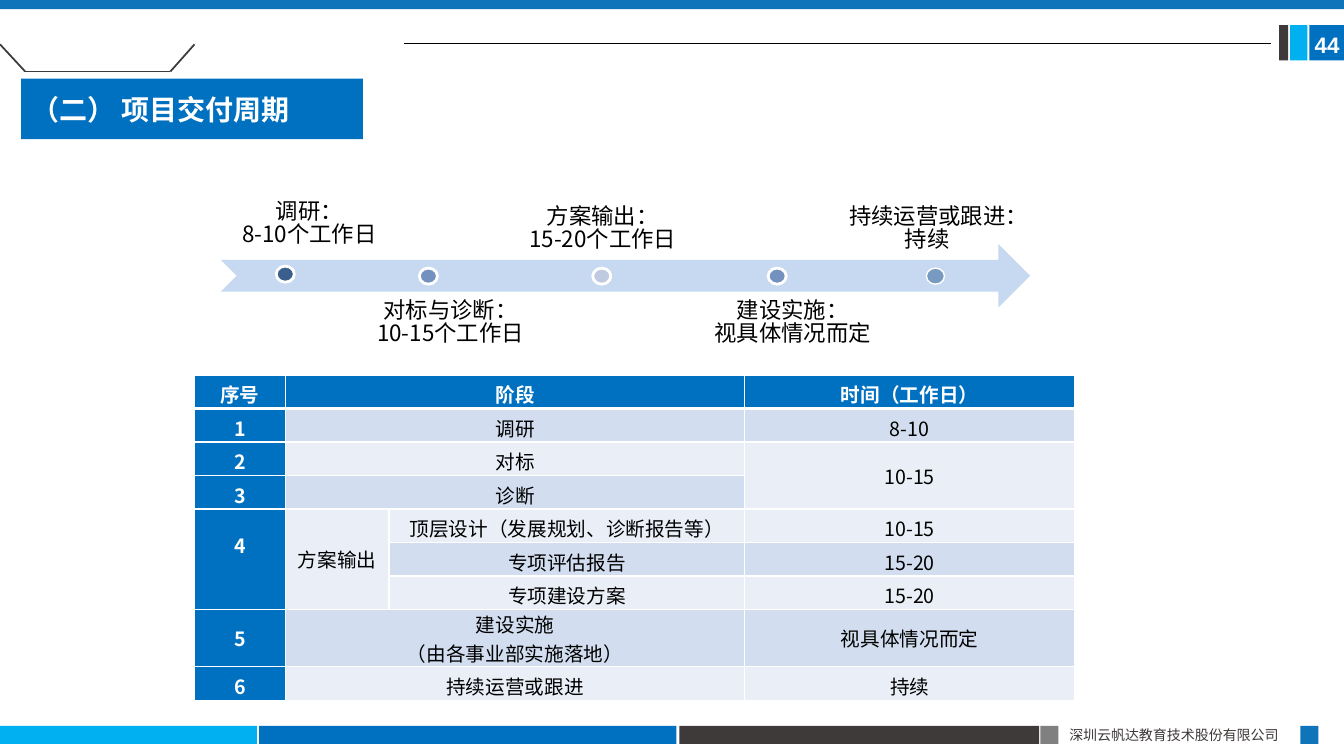
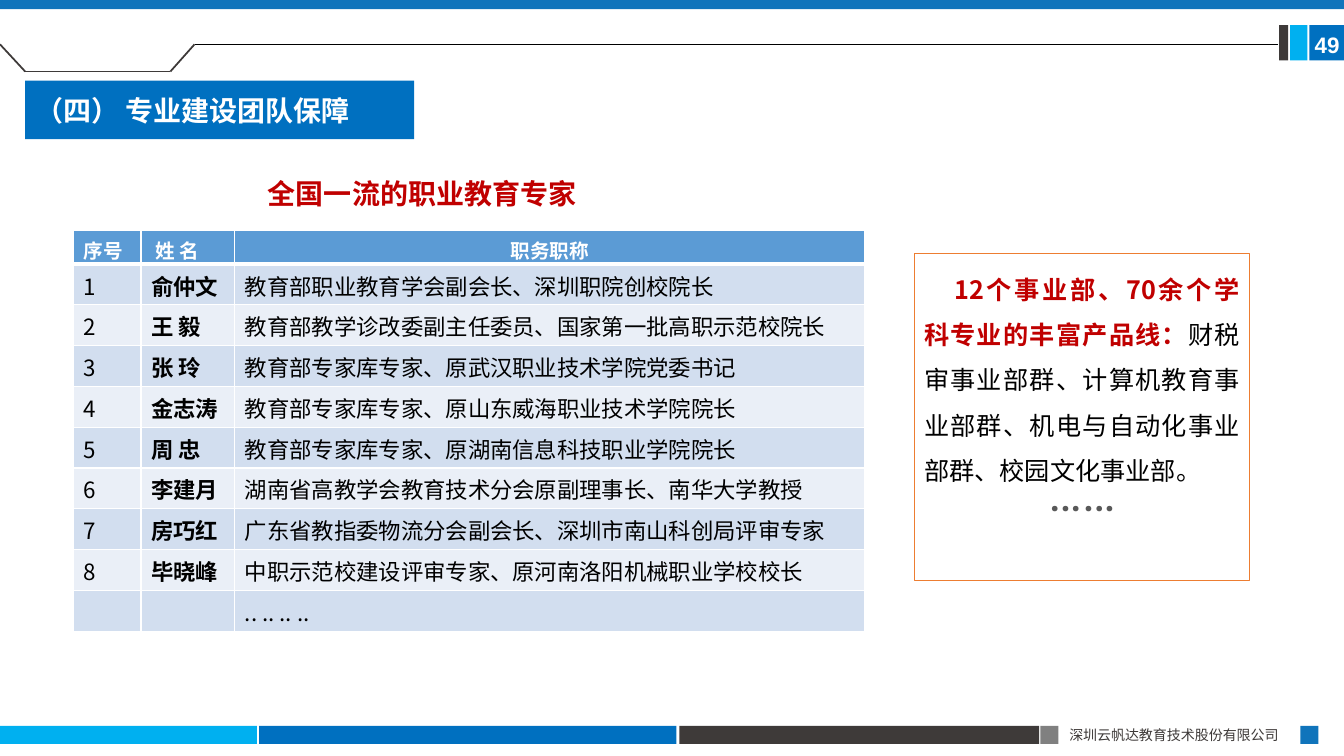
from dataclasses import dataclass
from lxml import etree
from pptx import Presentation, util as u
from pptx.dml.color import RGBColor
from pptx.enum import shapes as es, text as et
from pptx.oxml.ns import qn

PX = 9144
SHAPE = es.MSO_SHAPE
ALIGN = et.PP_ALIGN
ANCHOR = et.MSO_ANCHOR


@dataclass(frozen=True)
class Theme:
    blue: str = "0070C0"
    cyan: str = "00B0F0"
    top_blue: str = "1074BB"
    dark: str = "3E3A39"
    grey: str = "808080"
    dots_grey: str = "595959"
    white: str = "FFFFFF"
    black: str = "000000"
    red: str = "C00000"
    orange: str = "ED7D31"
    header_blue: str = "5B9BD5"
    band_dark: str = "D2DEEF"
    band_light: str = "EAEFF7"
    arrow: str = "C6D9F1"
    cjk: str = "Noto Sans CJK SC"
    title_font: str = "Calibri"
    number_font: str = "Arial"
    dots_font: str = "Roboto"
    title: int = 20
    lead: int = 18
    body: int = 16
    cell: int = 14
    footer: int = 10
    dots: int = 36


T = Theme()

COMPANY = "深圳云帆达教育技术股份有限公司"
NUMBER_BOX = (1299, 25, 35, 35)
BANDS = [
    ((0, 720, 255, 18), T.cyan),
    ((257, 720, 414, 18), T.blue),
    ((674, 720, 357, 18), T.dark),
    ((1032, 720, 18, 18), T.grey),
    ((1290, 720, 18, 18), T.top_blue),
    ((1280, 25, 17, 35), T.cyan),
    ((1269, 25, 9, 35), T.dark),
    ((0, 0, 1334, 9), T.top_blue),
]
TAB_OUTLINE = [(0, 44), (25, 71), (169, 71), (193, 44)]

MILESTONES = [
    (("调研：", "8-10个工作日"), (220, 197, 174, 56), True, (274, 264), "3A5F8C", 2),
    (("对标与诊断：", "10-15个工作日"), (360, 297, 174, 63), False, (416, 266), "7391BF", 2),
    (("方案输出：", "15-20个工作日"), (513, 195, 170, 63), True, (588, 266), "BECADF", 2),
    (("建设实施：", "视具体情况而定"), (689, 297, 195, 63), False, (762, 266), "7391BF", 2),
    (("持续运营或跟进：", "持续"), (833, 195, 174, 63), True, (919, 266), "769AC0", 1),
]

STAGES = [
    ["序号", "阶段", None, "时间（工作日）"],
    ["1", "调研", None, "8-10"],
    ["2", "对标", None, "10-15"],
    ["3", "诊断", None, None],
    ["4", "方案输出", "顶层设计（发展规划、诊断报告等）", "10-15"],
    [None, None, "专项评估报告", "15-20"],
    [None, None, "专项建设方案", "15-20"],
    ["5", "建设实施\n（由各事业部实施落地）", None, "视具体情况而定"],
    ["6", "持续运营或跟进", None, "持续"],
]
STAGE_MERGES = [(r, 1, r, 2) for r in (0, 1, 2, 3, 7, 8)] + [(2, 3, 3, 3), (4, 0, 6, 0), (4, 1, 6, 1)]
TALL_ROW = 7

EXPERTS = [
    ("俞仲文", "教育部职业教育学会副会长、深圳职院创校院长"),
    ("王 毅", "教育部教学诊改委副主任委员、国家第一批高职示范校院长"),
    ("张 玲", "教育部专家库专家、原武汉职业技术学院党委书记"),
    ("金志涛", "教育部专家库专家、原山东威海职业技术学院院长"),
    ("周 忠", "教育部专家库专家、原湖南信息科技职业学院院长"),
    ("李建月", "湖南省高教学会教育技术分会原副理事长、南华大学教授"),
    ("房巧红", "广东省教指委物流分会副会长、深圳市南山科创局评审专家"),
    ("毕晓峰", "中职示范校建设评审专家、原河南洛阳机械职业学校校长"),
]
EXPERT_ROWS = [("序号", "姓 名", "职务职称")]
EXPERT_ROWS += [(str(n), *expert) for n, expert in enumerate(EXPERTS, 1)]
EXPERT_ROWS += [("", "", ".. .. .. ..")]

PRODUCT_LEAD = "12个事业部、70余个学科专业的丰富产品线："
PRODUCT_LIST = "财税审事业部群、计算机教育事业部群、机电与自动化事业部群、校园文化事业部。"


def px(n):
    return u.Emu(round(n * PX))


def rgb(color):
    return RGBColor.from_string(color)


def add_run(paragraph, words, size, color, bold=False, font=T.cjk, asian=T.cjk):
    run = paragraph.add_run()
    run.text = words
    run.font.size = u.Pt(size)
    run.font.bold = bold
    run.font.color.rgb = rgb(color)
    run.font.name = font
    ea = etree.SubElement(run.font._element, qn("a:ea"))
    ea.set("typeface", asian)


def add_block(slide, box, fill=None, line=None, width=1, kind=SHAPE.RECTANGLE):
    block = slide.shapes.add_shape(kind, *map(px, box))
    block.shadow.inherit = False
    if fill:
        block.fill.solid()
        block.fill.fore_color.rgb = rgb(fill)
    else:
        block.fill.background()
    if line:
        block.line.color.rgb = rgb(line)
        block.line.width = u.Pt(width)
    else:
        block.line.fill.background()
    return block


def add_label(slide, box, words, size, color, bold=False, align=ALIGN.LEFT):
    frame = slide.shapes.add_textbox(*map(px, box)).text_frame
    frame.word_wrap = False
    frame.paragraphs[0].alignment = align
    add_run(frame.paragraphs[0], words, size, color, bold)


def add_line(slide, start, end, color, width):
    line = slide.shapes.add_connector(es.MSO_CONNECTOR.STRAIGHT, *map(px, (*start, *end)))
    line.line.color.rgb = rgb(color)
    line.line.width = u.Pt(width)
    etree.SubElement(line._element.spPr, qn("a:effectLst"))


def add_page_number(slide, number):
    frame = add_block(slide, NUMBER_BOX, T.blue).text_frame
    frame.word_wrap = False
    frame.margin_left = frame.margin_right = frame.margin_bottom = 0
    frame.margin_top = px(4)
    frame.vertical_anchor = ANCHOR.MIDDLE
    frame.paragraphs[0].alignment = ALIGN.CENTER
    add_run(frame.paragraphs[0], number, T.body, T.white, True, T.number_font)


def add_frame(prs, title, title_box, rule, number):
    slide = prs.slides.add_slide(prs.slide_layouts[6])
    for box, fill in BANDS:
        add_block(slide, box, fill)
    add_label(slide, (1051, 716, 240, 27), COMPANY, T.footer, T.dark, align=ALIGN.JUSTIFY)
    for start, end in zip(TAB_OUTLINE, TAB_OUTLINE[1:]):
        add_line(slide, start, end, T.dark, 1.25)
    add_line(slide, *rule, T.black, 0.5)
    heading = add_block(slide, title_box, T.blue).text_frame
    heading.vertical_anchor = ANCHOR.MIDDLE
    heading.paragraphs[0].alignment = ALIGN.LEFT
    add_run(heading.paragraphs[0], title, T.title, T.white, True, T.title_font)
    add_page_number(slide, number)
    return slide


def set_borders(cell, row):
    widths = {"L": 1, "R": 1, "T": 3 if row == 1 else 1, "B": 3 if row == 0 else 1}
    properties = cell._tc.get_or_add_tcPr()
    for place, (side, width) in enumerate(widths.items()):
        border = etree.Element(qn(f"a:ln{side}"), w=str(u.Pt(width)))
        paint = etree.SubElement(border, qn("a:solidFill"))
        etree.SubElement(paint, qn("a:srgbClr"), val=T.white)
        properties.insert(place, border)


def add_grid(slide, corner, widths, heights, rows, style, merges=()):
    size = sum(widths), sum(heights)
    table = slide.shapes.add_table(len(rows), len(widths), *map(px, (*corner, *size))).table
    table.first_row = table.horz_banding = False
    for column, width in zip(table.columns, widths):
        column.width = px(width)
    for row, height in zip(table.rows, heights):
        row.height = px(height)
    for top, left, bottom, right in merges:
        table.cell(top, left).merge(table.cell(bottom, right))
    for r, row in enumerate(rows):
        for c, words in enumerate(row):
            cell = table.cell(r, c)
            look = style(r, c)
            cell.margin_top = px(look.get("top", 5))
            cell.margin_bottom = px(look.get("bottom", 0))
            cell.margin_left = px(look.get("left", 10))
            cell.vertical_anchor = look["anchor"]
            cell.fill.solid()
            cell.fill.fore_color.rgb = rgb(look["fill"])
            set_borders(cell, r)
            for n, line in enumerate((words or "").split("\n")):
                frame = cell.text_frame
                paragraph = frame.add_paragraph() if n else frame.paragraphs[0]
                paragraph.alignment = look["align"]
                add_run(paragraph, line, look["size"], look["color"], look["bold"])


def band(row):
    return T.band_dark if row % 2 else T.band_light


def stage_style(r, c):
    strong = r == 0 or c == 0
    spans_rows = (r, c) in [(m[0], m[1]) for m in STAGE_MERGES if m[0] != m[2]]
    return dict(
        fill=T.blue if strong else band(r),
        color=T.white if strong else T.black,
        bold=strong,
        size=T.cell,
        align=ALIGN.CENTER,
        anchor=ANCHOR.MIDDLE,
        top=0 if spans_rows or r == TALL_ROW else 5,
        bottom=28 if (r, c) == (4, 0) else 0,
    )


def expert_style(r, c):
    header = r == 0
    return dict(
        fill=T.header_blue if header else band(r),
        color=T.white if header else T.black,
        bold=header or c == 1,
        size=T.cell if header else T.body,
        align=ALIGN.CENTER if header and c == 2 else ALIGN.LEFT,
        anchor=ANCHOR.TOP,
        left=14 if header and c == 1 else 10,
    )


def add_milestone(slide, lines, box, above, dot, color, ring):
    frame = slide.shapes.add_textbox(*map(px, box)).text_frame
    frame.word_wrap = True
    frame.margin_left = frame.margin_right = frame.margin_top = frame.margin_bottom = px(8)
    frame.vertical_anchor = ANCHOR.BOTTOM if above else ANCHOR.TOP
    for n, line in enumerate(lines):
        paragraph = frame.add_paragraph() if n else frame.paragraphs[0]
        paragraph.alignment = ALIGN.CENTER
        paragraph.line_spacing = u.Pt(10.8)
        paragraph.space_after = u.Pt(5.6)
        add_run(paragraph, line, T.body, T.black)
    add_block(slide, (*dot, 18, 16), color, T.white, ring, SHAPE.OVAL)


def build_schedule(prs):
    slide = add_frame(prs, "（二） 项目交付周期", (21, 78, 339, 60), ((401, 43), (1261, 43)), "44")
    heights = [57 if r == TALL_ROW else 33.25 for r in range(len(STAGES))]
    add_grid(slide, (193, 372), (90, 103, 353, 327), heights, STAGES, stage_style, STAGE_MERGES)
    add_block(slide, (219, 242, 803, 63), T.arrow, kind=SHAPE.NOTCHED_RIGHT_ARROW)
    for milestone in MILESTONES:
        add_milestone(slide, *milestone)


def build_team(prs):
    slide = add_frame(prs, "（四） 专业建设团队保障", (25, 80, 386, 58), ((193, 44), (1268, 44)), "49")
    add_label(slide, (256, 170, 387, 44), "全国一流的职业教育专家", T.title, T.red, True)
    heights = [33] + [40.5] * (len(EXPERT_ROWS) - 1)
    add_grid(slide, (73, 229), (67, 93, 625), heights, EXPERT_ROWS, expert_style)

    products = add_block(slide, (907, 252, 333, 324), line=T.orange, width=0.75).text_frame
    products.word_wrap = True
    products.vertical_anchor = ANCHOR.TOP
    products.margin_top = px(5)
    summary = products.paragraphs[0]
    summary.alignment = ALIGN.JUSTIFY
    summary.line_spacing = u.Pt(32.4)
    summary._p.get_or_add_pPr().set("indent", str(px(30)))
    add_run(summary, PRODUCT_LEAD, T.lead, T.red, True)
    add_run(summary, PRODUCT_LIST, T.lead, T.black)
    more = products.add_paragraph()
    more.alignment = ALIGN.CENTER
    more.line_spacing = u.Pt(25.6)
    add_run(more, "……", T.dots, T.dots_grey, font=T.dots_font, asian=T.dots_font)


def main():
    prs = Presentation()
    prs.slide_width, prs.slide_height = u.Emu(12192000), px(750)
    build_schedule(prs)
    build_team(prs)
    prs.save("out.pptx")


if __name__ == "__main__":
    main()
